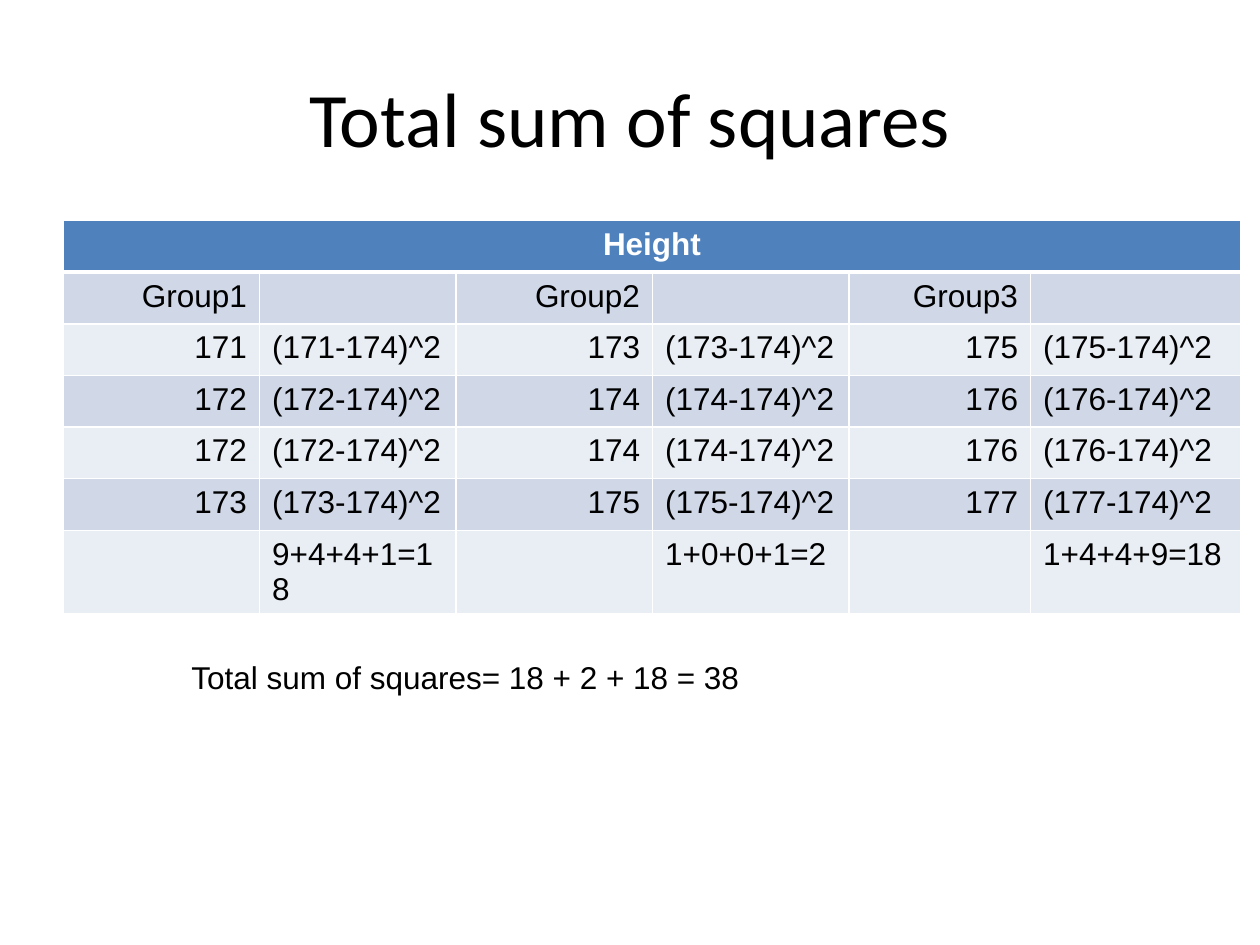
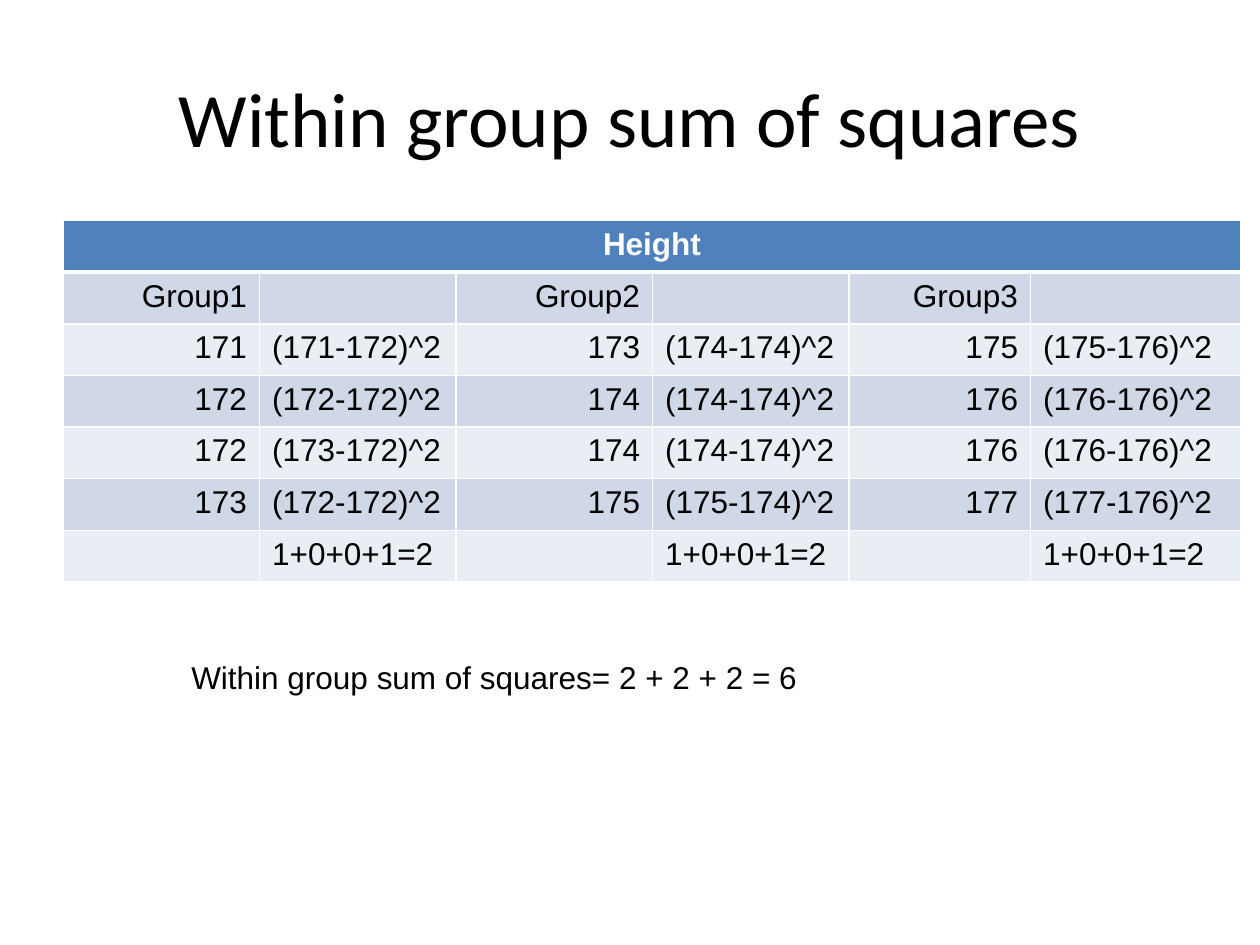
from lxml.etree import SubElement
from pptx import Presentation
from pptx.dml.color import RGBColor
from pptx.enum.text import MSO_ANCHOR as Anchor, MSO_AUTO_SIZE as AutoSize, PP_ALIGN as Align
from pptx.oxml.ns import qn
from pptx.util import Inches, Pt

BLACK = RGBColor(0x00, 0x00, 0x00)
WHITE = RGBColor(0xFF, 0xFF, 0xFF)
HEADER_BLUE = RGBColor(0x4F, 0x81, 0xBD)
BAND_DARK = RGBColor(0xD0, 0xD8, 0xE8)
BAND_LIGHT = RGBColor(0xE9, 0xED, 0xF4)

TITLE_FONT = {"name": "Calibri", "size": Pt(44), "bold": False}
BODY_FONT = {"name": "Arial", "size": Pt(18), "bold": False}
HEADER_FONT = {"name": "Arial", "size": Pt(18), "bold": True}

COLUMN_WIDTHS = [1.56, 1.56, 1.56, 1.56, 1.44, 1.67]
ROW_HEIGHT = 0.41
HEIGHTS = [[171, 172, 172, 173], [173, 174, 174, 175], [175, 176, 176, 177]]

SLIDES = [
    {
        "title": "Total sum of squares",
        "means": [174, 174, 174],
        "observed": HEIGHTS,
        "sums": ["9+4+4+1=18", "1+0+0+1=2", "1+4+4+9=18"],
        "result": "Total sum of squares= 18 + 2 + 18 = 38",
        "result_width": 5.58,
    },
    {
        "title": "Within group sum of squares",
        "means": [172, 174, 176],
        "observed": [[171, 172, 173, 172], [174, 174, 174, 175], HEIGHTS[2]],
        "sums": ["1+0+0+1=2"] * 3,
        "result": "Within group sum of squares= 2 + 2 + 2 = 6",
        "result_width": 5.67,
    },
]


def write_text(paragraph, text, font, color, alignment):
    paragraph.alignment = alignment
    run = paragraph.add_run()
    run.text = text
    for name, value in font.items():
        setattr(run.font, name, value)
    run.font.color.rgb = color


def set_borders(cell, widths):
    properties = cell._tc.get_or_add_tcPr()
    for side, width in widths.items():
        line = SubElement(properties, qn(f"a:ln{side}"), w=str(Pt(width)))
        fill = SubElement(line, qn("a:solidFill"))
        SubElement(fill, qn("a:srgbClr"), val=str(WHITE))


presentation = Presentation()
presentation.slide_width = Inches(10)
presentation.slide_height = Inches(7.5)
title_only = presentation.slide_layouts[5]

for content in SLIDES:
    slide = presentation.slides.add_slide(title_only)
    title = slide.shapes.title
    title.left, title.top = Inches(0.5), Inches(0.3)
    title.width, title.height = Inches(9), Inches(1.25)
    title.text_frame.vertical_anchor = Anchor.MIDDLE
    write_text(title.text_frame.paragraphs[0], content["title"], TITLE_FONT, BLACK, Align.CENTER)

    rows = [["Height", "", "", "", "", ""], ["Group1", "", "Group2", "", "Group3", ""]]
    for index in range(4):
        row = []
        for heights, observed, mean in zip(HEIGHTS, content["observed"], content["means"]):
            row += [str(heights[index]), f"({observed[index]}-{mean})^2"]
        rows.append(row)
    rows.append([text for total in content["sums"] for text in ("", total)])

    table = slide.shapes.add_table(
        len(rows), len(COLUMN_WIDTHS), Inches(0.5), Inches(1.75),
        Inches(sum(COLUMN_WIDTHS)), Inches(ROW_HEIGHT * len(rows)),
    ).table
    for column, width in zip(table.columns, COLUMN_WIDTHS):
        column.width = Inches(width)
    table.cell(0, 0).merge(table.cell(0, len(COLUMN_WIDTHS) - 1))

    for row_index, row in enumerate(rows):
        table.rows[row_index].height = Inches(ROW_HEIGHT)
        is_header = row_index == 0
        band = BAND_DARK if row_index % 2 else BAND_LIGHT
        borders = {"L": 1, "R": 1, "T": 3 if row_index == 1 else 1, "B": 3 if is_header else 1}
        for column_index, text in enumerate(row):
            cell = table.cell(row_index, column_index)
            set_borders(cell, borders)
            cell.fill.solid()
            cell.fill.fore_color.rgb = HEADER_BLUE if is_header else band
            paragraph = cell.text_frame.paragraphs[0]
            if is_header and text:
                write_text(paragraph, text, HEADER_FONT, WHITE, Align.CENTER)
            elif text:
                alignment = Align.LEFT if column_index % 2 else Align.RIGHT
                write_text(paragraph, text, BODY_FONT, BLACK, alignment)

    result = slide.shapes.add_textbox(
        Inches(1.42), Inches(5.17), Inches(content["result_width"]), Inches(0.4)
    )
    result.text_frame.word_wrap = True
    result.text_frame.auto_size = AutoSize.SHAPE_TO_FIT_TEXT
    write_text(result.text_frame.paragraphs[0], content["result"], BODY_FONT, BLACK, Align.LEFT)

presentation.save("out.pptx")
